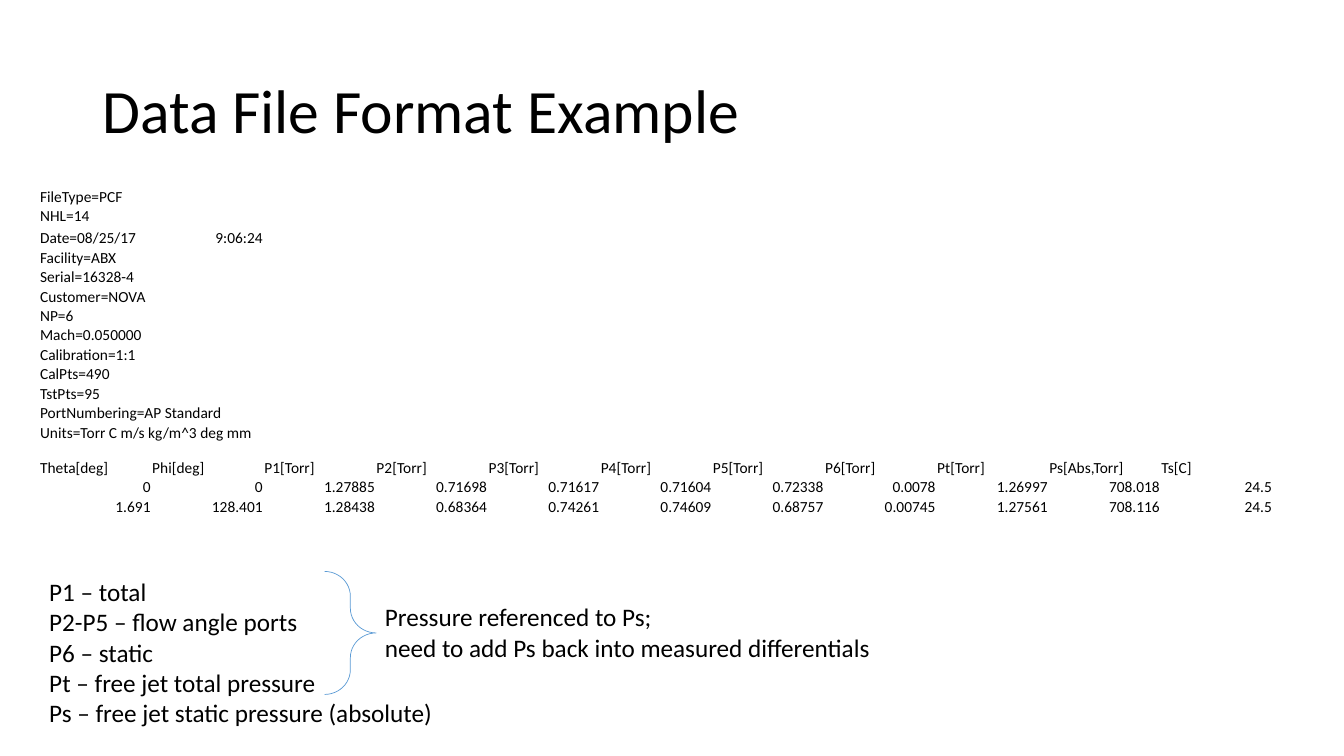
from lxml import etree
from pptx import Presentation
from pptx.dml.color import RGBColor
from pptx.enum.shapes import MSO_SHAPE
from pptx.enum.text import MSO_ANCHOR, MSO_AUTO_SIZE, PP_ALIGN
from pptx.oxml.ns import qn
from pptx.util import Cm, Pt

BRACE = MSO_SHAPE.RIGHT_BRACE
MIDDLE, BOTTOM = MSO_ANCHOR.MIDDLE, MSO_ANCHOR.BOTTOM
LEFT, RIGHT = PP_ALIGN.LEFT, PP_ALIGN.RIGHT
FIT_SHAPE = MSO_AUTO_SIZE.SHAPE_TO_FIT_TEXT

FONT = "Calibri"
COLORS = {"text": "000000", "brace": "5B9BD5"}
TABLE_SIZE = 11

FILE_HEADER = [
    (["FileType=PCF"], 2),
    (["NHL=14"], 1),
    (["Date=08/25/17", "9:06:24"], 1),
    (["Facility=ABX"], 2),
    (["Serial=16328-4"], 2),
    (["Customer=NOVA"], 2),
    (["NP=6"], 1),
    (["Mach=0.050000"], 2),
    (["Calibration=1:1"], 2),
    (["CalPts=490"], 2),
    (["TstPts=95"], 1),
    (["PortNumbering=AP Standard"], 3),
    (["Units=Torr C m/s kg/m^3 deg mm"], 4),
]
COLUMN_NAMES = ["Theta[deg]", "Phi[deg]", "P1[Torr]", "P2[Torr]", "P3[Torr]", "P4[Torr]",
                "P5[Torr]", "P6[Torr]", "Pt[Torr]", "Ps[Abs,Torr]", "Ts[C]"]
READINGS = [
    ["0", "0", "1.27885", "0.71698", "0.71617", "0.71604",
     "0.72338", "0.0078", "1.26997", "708.018", "24.5"],
    ["1.691", "128.401", "1.28438", "0.68364", "0.74261", "0.74609",
     "0.68757", "0.00745", "1.27561", "708.116", "24.5"],
]
PORT_MEANINGS = ["P1 – total", "P2-P5 – flow angle ports", "P6 – static",
                 "Pt – free jet total pressure", "Ps – free jet static pressure (absolute)"]
REFERENCE_NOTE = ["Pressure referenced to Ps;", "need to add Ps back into measured differentials"]


def add_text(paragraph, text, size):
    """Add one run in the slide font."""
    run = paragraph.add_run()
    run.text = text
    run.font.name = FONT
    run.font.size = Pt(size)
    run.font.color.rgb = RGBColor.from_string(COLORS["text"])


def add_title(slide, left, top, width, height):
    """Place the slide title, centred vertically in its box."""
    frame = slide.shapes.add_textbox(left, top, width, height).text_frame
    frame.word_wrap = True
    frame.vertical_anchor = MIDDLE
    frame.paragraphs[0].line_spacing = 0.9
    add_text(frame.paragraphs[0], "Data File Format Example", 44)


def fill_cell(cell, text, align):
    """Write one unfilled, tightly inset table cell."""
    cell.fill.background()
    cell.vertical_anchor = BOTTOM
    cell.margin_left = cell.margin_right = cell.margin_top = Cm(0.02)
    cell.margin_bottom = 0
    paragraph = cell.text_frame.paragraphs[0]
    paragraph.alignment = align
    if text:
        add_text(paragraph, text, TABLE_SIZE)
    else:
        etree.SubElement(paragraph._p, qn("a:endParaRPr"), sz=str(TABLE_SIZE * 100))


def add_data_file(slide, left, top, width, height):
    """Lay out the file header, column names and readings as one table."""
    rows = [texts for texts, _ in FILE_HEADER] + [COLUMN_NAMES] + READINGS
    column_count = len(COLUMN_NAMES)
    table = slide.shapes.add_table(len(rows), column_count, left, top, width, height).table
    table.first_row = table.horz_banding = False
    for column in table.columns:
        column.width = width // column_count
    names_row = len(FILE_HEADER)
    special_heights = {2: Cm(0.56), names_row: Cm(0.89)}
    for r, texts in enumerate(rows):
        table.rows[r].height = special_heights.get(r, Cm(0.49))
        for c in range(column_count):
            is_number = r > names_row or (r < names_row and c == 1)
            text = texts[c] if c < len(texts) else ""
            fill_cell(table.cell(r, c), text, RIGHT if is_number else LEFT)
    for r, (_, span) in enumerate(FILE_HEADER):
        if span > 1:
            table.cell(r, 0).merge(table.cell(r, span - 1))


def add_note(slide, lines, left, top, width, height):
    """Place a note with one paragraph per line."""
    frame = slide.shapes.add_textbox(left, top, width, height).text_frame
    frame.word_wrap = False
    frame.auto_size = FIT_SHAPE
    for i, line in enumerate(lines):
        paragraph = frame.add_paragraph() if i else frame.paragraphs[0]
        add_text(paragraph, line, 18)


def add_legend(slide, left, top):
    """Place the port meanings, the brace and the note it points to."""
    add_note(slide, PORT_MEANINGS, left, top, Cm(10.29), Cm(4.11))
    brace = slide.shapes.add_shape(BRACE, left + Cm(7.19), top, Cm(1.3), Cm(3.1))
    brace.adjustments[0] = 0.48
    brace.adjustments[1] = 0.5
    brace.shadow.inherit = False
    brace.fill.background()
    brace.line.color.rgb = RGBColor.from_string(COLORS["brace"])
    brace.line.width = Pt(0.5)
    add_note(slide, REFERENCE_NOTE, left + Cm(8.46), top + Cm(0.64), Cm(12.9), Cm(1.8))


def main():
    """Build and save the slide."""
    presentation = Presentation()
    presentation.slide_width = Cm(33.87)
    presentation.slide_height = Cm(19.05)
    slide = presentation.slides.add_slide(presentation.slide_layouts[6])
    margin = Cm(0.99)
    add_title(slide, Cm(2.33), Cm(1.01), Cm(29.21), Cm(3.68))
    add_data_file(slide, margin, Cm(4.7), Cm(31.09), Cm(8.31))
    add_legend(slide, margin, Cm(14.4))
    presentation.save("out.pptx")


if __name__ == "__main__":
    main()
